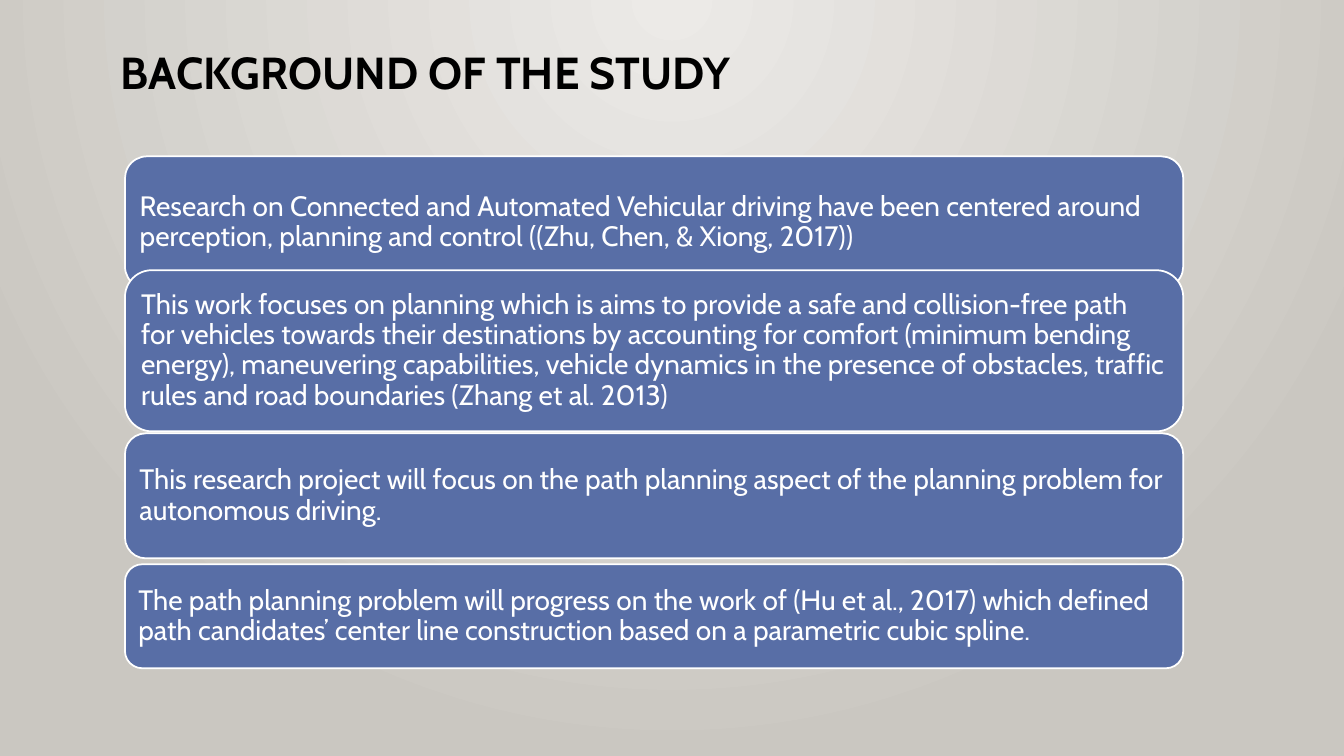
from dataclasses import dataclass

from lxml.etree import SubElement
from pptx import Presentation
from pptx.dml.color import RGBColor as Rgb
from pptx.enum.shapes import MSO_SHAPE as Shape
from pptx.enum.text import MSO_ANCHOR as Anchor, PP_ALIGN as Align
from pptx.oxml.ns import qn
from pptx.util import Cm, Pt


@dataclass(frozen=True)
class Theme:
    """Colours, font and type sizes of the slide."""
    glow: Rgb = Rgb(0xEC, 0xEA, 0xE7)
    edge: Rgb = Rgb(0xCA, 0xC7, 0xC1)
    heading: Rgb = Rgb(0, 0, 0)
    card: Rgb = Rgb(0x58, 0x6E, 0xA6)
    light: Rgb = Rgb(0xFF, 0xFF, 0xFF)
    font: str = "Cabin"
    heading_size: Pt = Pt(32)
    card_size: Pt = Pt(20)
    outline: Pt = Pt(1.25)


THEME = Theme()
CARD_LEFT, CARD_WIDTH = Cm(3.15), Cm(26.67)
CARDS = [
    (3.94, 3.33, "Research on Connected and Automated Vehicular driving have been "
     "centered around perception, planning and control ((Zhu, Chen, & Xiong, 2017))"),
    (6.81, 4.06, "This work focuses on planning which is aims to provide a safe and "
     "collision-free path for vehicles towards their destinations by accounting for "
     "comfort (minimum bending energy), maneuvering capabilities, vehicle dynamics in "
     "the presence of obstacles, traffic rules and road boundaries (Zhang et al. 2013)"),
    (10.92, 3.15, "This research project will focus on the path planning aspect of the "
     "planning problem for autonomous driving."),
    (14.22, 2.62, "The path planning problem will progress on the work of (Hu et al., "
     "2017) which defined path candidates’ center line construction based on a "
     "parametric cubic spline."),
]


def paint_background(slide):
    """Fill the background with a round glow from the top centre."""
    fill = slide.background.fill
    fill.gradient()
    for stop, colour in zip(fill.gradient_stops, (THEME.glow, THEME.edge)):
        stop.color.rgb = colour
    gradient = next(slide.element.iter(qn("a:gradFill")))
    gradient.remove(gradient.find(qn("a:lin")))
    glow = SubElement(gradient, qn("a:path"), path="circle")
    SubElement(glow, qn("a:fillToRect"), l="43000", t="0", r="43000", b="100000")


def write(frame, text, size, colour, bold=False):
    """Write one left-aligned paragraph in the slide's font."""
    frame.text = text
    frame.word_wrap = True
    paragraph = frame.paragraphs[0]
    paragraph.alignment = Align.LEFT
    paragraph.line_spacing = 0.9
    font = paragraph.font
    font.name, font.size, font.bold = THEME.font, size, bold
    font.color.rgb = colour


def add_heading(slide, text):
    """Place and format the title placeholder."""
    heading = slide.shapes.title
    heading.left, heading.top = Cm(2.79), Cm(1.07)
    heading.width, heading.height = Cm(26.67), Cm(1.63)
    write(heading.text_frame, text, THEME.heading_size, THEME.heading, bold=True)
    heading.text_frame.vertical_anchor = Anchor.MIDDLE


def add_card(slide, top, height, text):
    """Add one rounded card holding a statement."""
    card = slide.shapes.add_shape(
        Shape.ROUNDED_RECTANGLE, CARD_LEFT, Cm(top), CARD_WIDTH, Cm(height))
    card.shadow.inherit = False
    card.fill.solid()
    card.fill.fore_color.rgb = THEME.card
    card.line.color.rgb = THEME.light
    card.line.width = THEME.outline
    frame = card.text_frame
    frame.margin_left = frame.margin_right = Cm(0.21)
    frame.margin_top = frame.margin_bottom = Cm(0.21)
    frame.vertical_anchor = Anchor.MIDDLE
    write(frame, text, THEME.card_size, THEME.light)


def main():
    """Build the slide and save it."""
    deck = Presentation()
    deck.slide_width, deck.slide_height = Cm(33.87), Cm(19.05)
    slide = deck.slides.add_slide(deck.slide_layouts[5])
    paint_background(slide)
    add_heading(slide, "BACKGROUND OF THE STUDY")
    for top, height, text in CARDS:
        add_card(slide, top, height, text)
    deck.save("out.pptx")


main()
